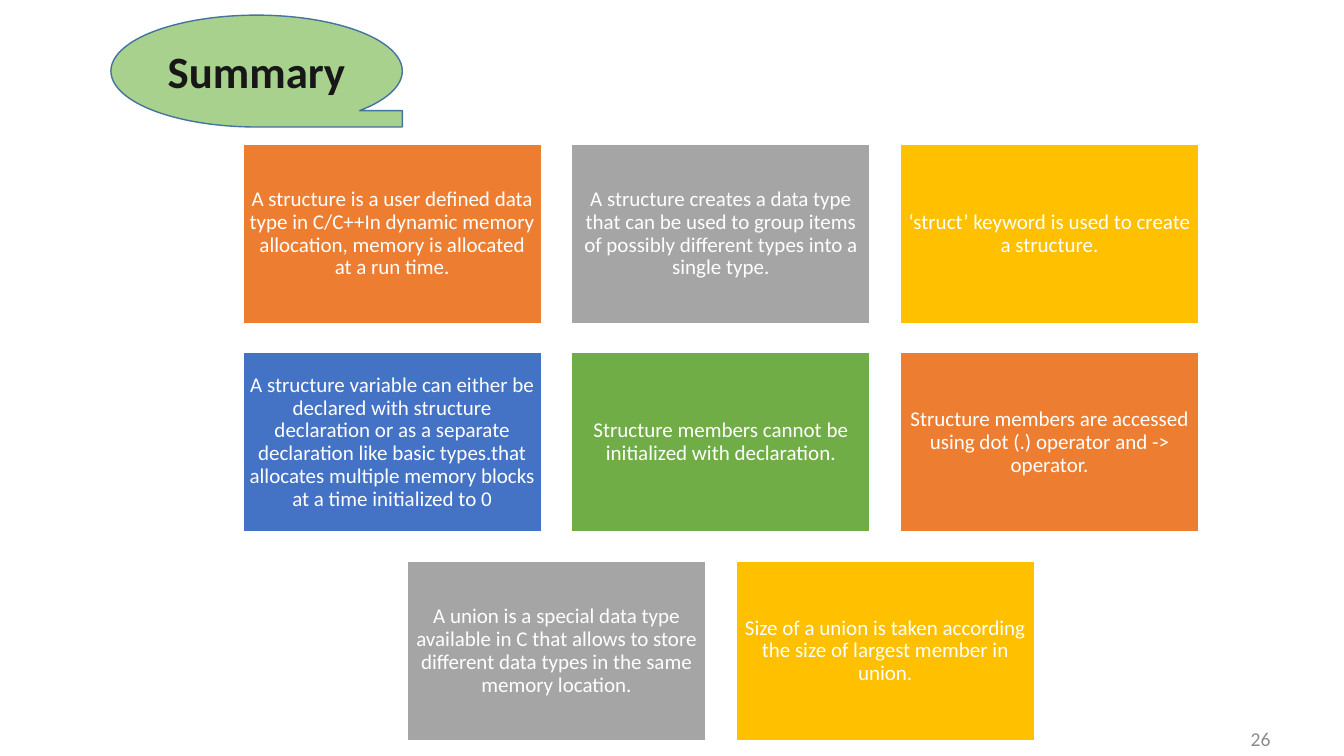
from pptx import Presentation
from pptx import util as u
from pptx.dml.color import RGBColor
from pptx.enum import shapes, text

ORANGE = RGBColor(0xED, 0x7D, 0x31)
GRAY = RGBColor(0xA5, 0xA5, 0xA5)
GOLD = RGBColor(0xFF, 0xC0, 0x00)
BLUE = RGBColor(0x44, 0x72, 0xC4)
GREEN = RGBColor(0x70, 0xAD, 0x47)
WHITE = RGBColor(0xFF, 0xFF, 0xFF)
TITLE_FILL = RGBColor(0xA9, 0xD1, 0x8E)
TITLE_LINE = RGBColor(0x43, 0x73, 0x9E)
TITLE_INK = RGBColor(0x18, 0x17, 0x17)
NUMBER_INK = RGBColor(0x8C, 0x8C, 0x8C)

# Content
TITLE = "Summary"
PAGE_NUMBER = "26"
CARD_ROWS = [
    [
        ("A structure is a user defined data type in C/C++In dynamic memory "
         "allocation, memory is allocated at a run time.", ORANGE),
        ("A structure creates a data type that can be used to group items of "
         "possibly different types into a single type.", GRAY),
        ("‘struct’ keyword is used to create a structure.", GOLD),
    ],
    [
        ("A structure variable can either be declared with structure declaration "
         "or as a separate declaration like basic types.that allocates multiple "
         "memory blocks at a time initialized to 0", BLUE),
        ("Structure members cannot be initialized with declaration.", GREEN),
        ("Structure members are accessed using dot (.) operator and -> operator.",
         ORANGE),
    ],
    [
        ("A union is a special data type available in C that allows to store "
         "different data types in the same memory location.", GRAY),
        ("Size of a union is taken according the size of largest member in union.",
         GOLD),
    ],
]

# Card grid, in inches; every row is centred on the same axis
CARD_WIDTH, CARD_HEIGHT, GAP = 2.96, 1.78, 0.3
GRID_CENTER, GRID_TOP, ROW_PITCH = 7.15, 1.43, 2.07


def write(shape, words, size, color, align, bold=False):
    frame = shape.text_frame
    frame.word_wrap = True
    frame.vertical_anchor = text.MSO_ANCHOR.MIDDLE
    frame.text = words
    paragraph = frame.paragraphs[0]
    paragraph.alignment = align
    font = paragraph.runs[0].font
    font.name, font.size, font.bold = "Calibri", u.Pt(size), bold
    font.color.rgb = color
    return frame


def add_block(slide, preset, box, fill, line):
    shape = slide.shapes.add_shape(preset, *map(u.Inches, box))
    shape.shadow.inherit = False
    shape.fill.solid()
    shape.fill.fore_color.rgb = fill
    shape.line.color.rgb = line
    shape.line.width = u.Pt(1)
    return shape


def add_card(slide, left, top, words, fill):
    card = add_block(slide, shapes.MSO_SHAPE.RECTANGLE,
                     (left, top, CARD_WIDTH, CARD_HEIGHT), fill, WHITE)
    frame = write(card, words, 15, WHITE, text.PP_ALIGN.CENTER)
    frame.margin_left = frame.margin_right = u.Inches(0.06)
    frame.margin_top = frame.margin_bottom = u.Inches(0.06)
    frame.paragraphs[0].line_spacing = 0.9


def main():
    presentation = Presentation()
    presentation.slide_width = u.Inches(13.33)
    presentation.slide_height = u.Inches(7.5)
    slide = presentation.slides.add_slide(presentation.slide_layouts[6])

    # Page number
    number = slide.shapes.add_textbox(*map(u.Inches, (10.46, 7.3, 2.24, 0.05)))
    write(number, PAGE_NUMBER, 14, NUMBER_INK, text.PP_ALIGN.RIGHT)

    # Title
    title = add_block(slide, shapes.MSO_SHAPE.FLOWCHART_SEQUENTIAL_ACCESS_STORAGE,
                      (1.1, 0.15, 2.89, 1.11), TITLE_FILL, TITLE_LINE)
    write(title, TITLE, 32, TITLE_INK, text.PP_ALIGN.CENTER, bold=True)

    # Summary cards
    for row, cards in enumerate(CARD_ROWS):
        row_width = len(cards) * (CARD_WIDTH + GAP) - GAP
        row_left = GRID_CENTER - row_width / 2
        for column, (words, fill) in enumerate(cards):
            add_card(slide, row_left + column * (CARD_WIDTH + GAP),
                     GRID_TOP + row * ROW_PITCH, words, fill)

    presentation.save("out.pptx")


if __name__ == "__main__":
    main()
